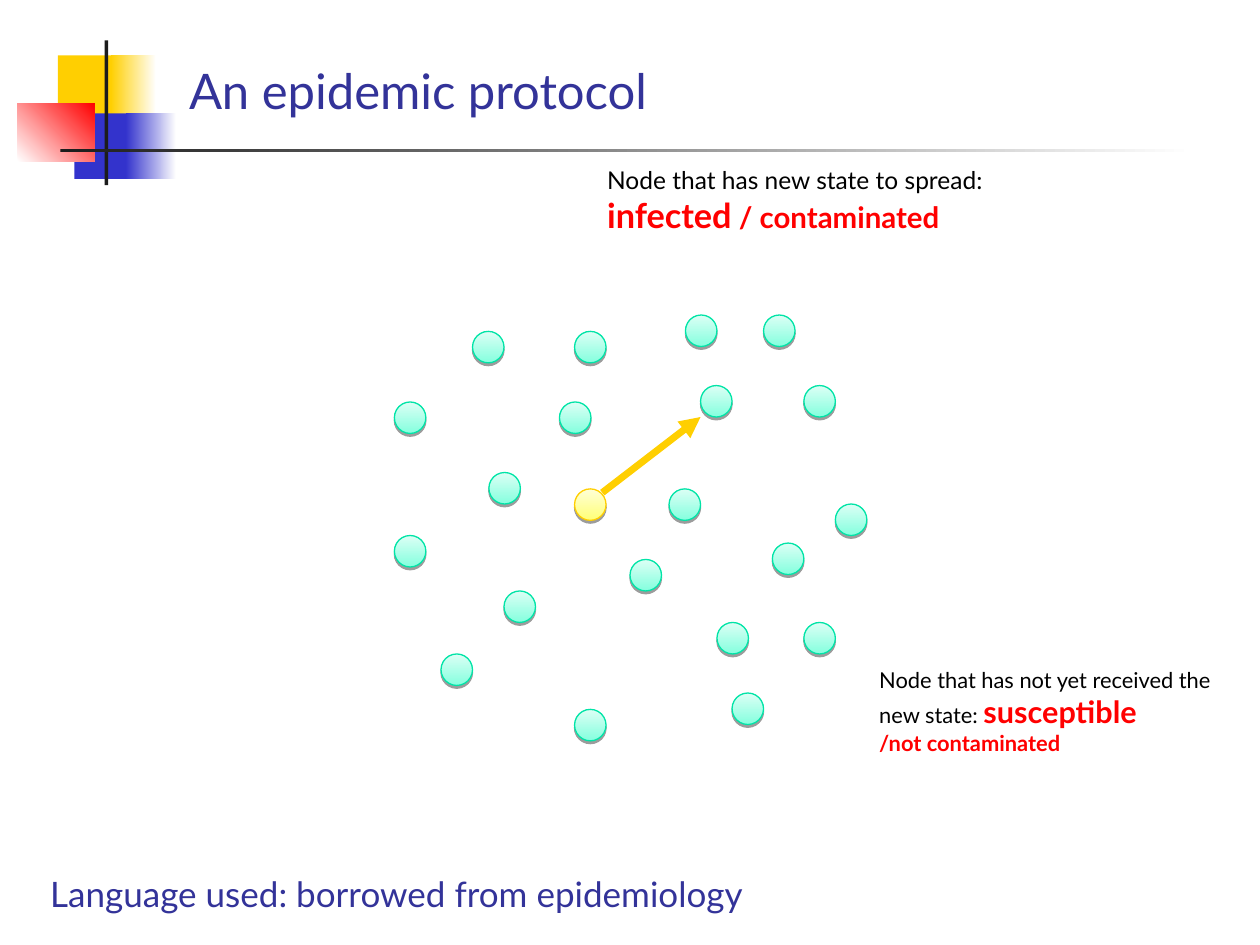
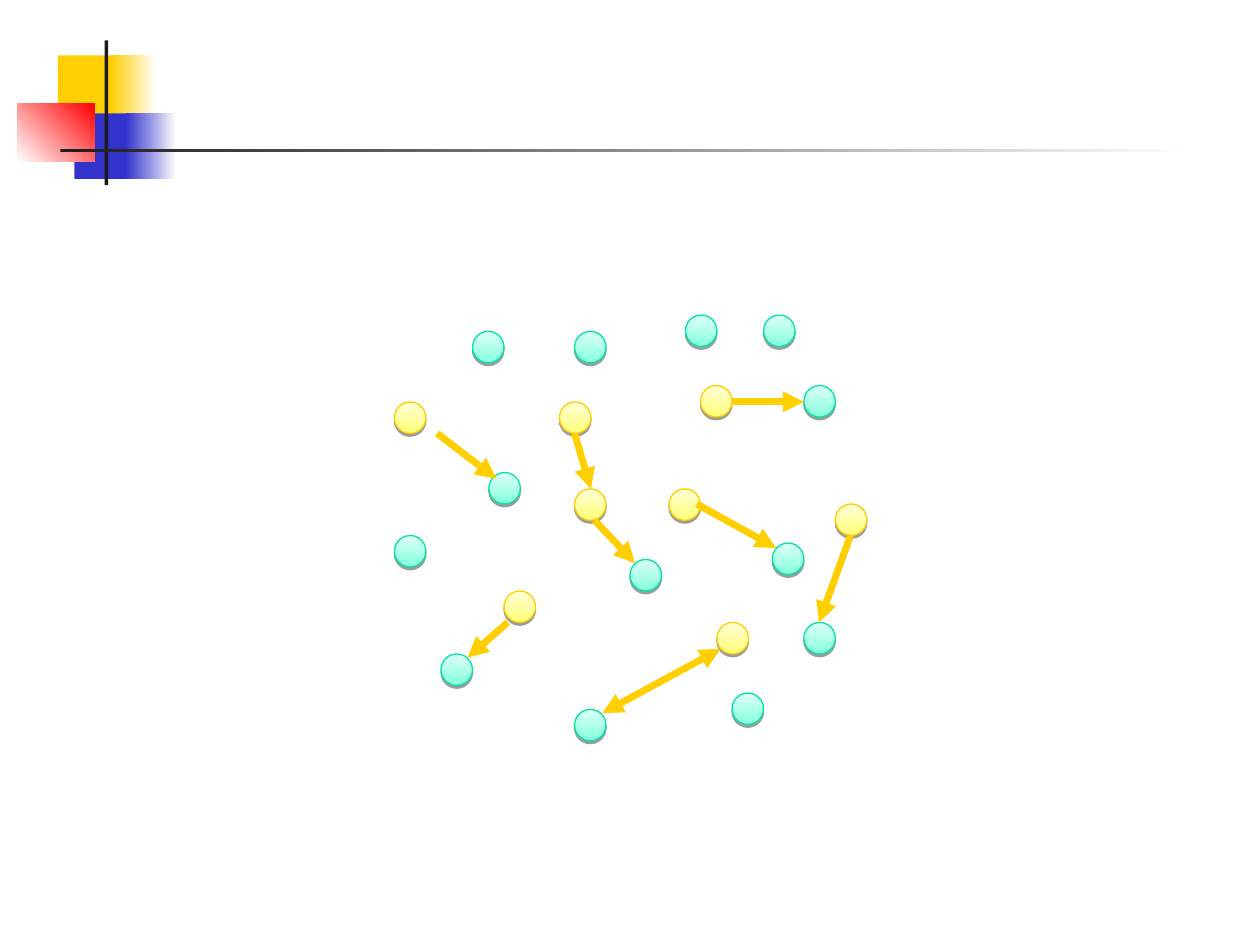
from lxml import etree
from pptx import Presentation
from pptx.dml.color import RGBColor
from pptx.enum.shapes import MSO_CONNECTOR, MSO_SHAPE
from pptx.enum.text import MSO_ANCHOR, MSO_AUTO_SIZE, PP_ALIGN
from pptx.oxml.ns import qn
from pptx.util import Inches, Pt

RECT, OVAL = MSO_SHAPE.RECTANGLE, MSO_SHAPE.OVAL
STRAIGHT = MSO_CONNECTOR.STRAIGHT
TOP, BOTTOM = MSO_ANCHOR.TOP, MSO_ANCHOR.BOTTOM
LEFT, NO_FIT = PP_ALIGN.LEFT, MSO_AUTO_SIZE.NONE
TITLE_ONLY, BLANK = 5, 6


class Theme:
    font = "Lato"
    yellow, blue, red = "FFCF01", "3333CC", "FF0000"
    black, white, charcoal, heading = "000000", "FFFFFF", "1C1C1C", "333399"
    # node state: bottom colour, top colour, outline
    susceptible = ("85FFDE", "DCFFF5", "00E4A7")
    infected = ("FFFF78", "FFFFD7", "FFCE00")
    node_line, arrow_line, shadow_gap = Pt(0.75), Pt(4), Pt(1.6)


def style(size, color, bold=False):
    return {"size": Pt(size), "color": color, "bold": bold}


# Shared band: box, fill colours, gradient angle (counter-clockwise)
BAND = [
    ((0.46, 0.44, 0.48, 0.52), (Theme.yellow,), 0),
    ((0.88, 0.44, 0.36, 0.52), (Theme.yellow, Theme.white), 0),
    ((0.59, 0.9, 0.46, 0.52), (Theme.blue,), 0),
    ((1, 0.9, 0.4, 0.52), (Theme.blue, Theme.white), 0),
    ((0.14, 0.82, 0.61, 0.46), (Theme.white, Theme.red), 45),
    ((0.83, 0.32, 0.03, 1.15), (Theme.charcoal,), 0),
    ((0.48, 1.18, 9, 0.03), (Theme.charcoal, Theme.white), 0),
]

# Left and top of every node in the network
NODE_SIZE = 0.25
NODES = [
    (3.75, 2.63), (3.13, 3.19), (4.56, 2.63), (3.88, 3.75), (5.56, 3.06),
    (4.44, 3.19), (3.13, 4.25), (4, 4.69), (5, 4.44), (5.44, 2.5),
    (6.13, 4.31), (5.31, 3.88), (6.38, 3.06), (4.56, 5.63), (5.69, 4.94),
    (3.5, 5.19), (4.56, 3.88), (6.63, 4), (5.81, 5.5), (6.38, 4.94),
    (6.06, 2.5),
]

# Each text: box, anchor, paragraphs of (words, format) runs
TITLE = ((1.4, 0.07, 8.52, 0.93), BOTTOM,
         [[("An epidemic protocol", style(28, Theme.heading))]])
TEXTS = [
    ((4.72, 1.26, 4.69, 0.67), TOP, [
        [("Node that has new state to spread:", style(14, Theme.black))],
        [("infected", style(19.6, Theme.red, True)),
         (" / contaminated", style(16.8, Theme.red, True))]]),
    ((6.88, 5.24, 2.87, 0.96), TOP, [
        [("Node that has not yet received the new state: ",
          style(12.5, Theme.black)),
         ("susceptible", style(17.5, Theme.red, True))],
        [("/not contaminated", style(12.5, Theme.red, True))]]),
    ((0.3, 6.81, 6.01, 0.5), BOTTOM,
     [[("Language used: borrowed from epidemiology",
        style(20, Theme.heading))]]),
]

# Arrows run from sender to receiver: start, end, arrowed ends
ONE_WAY, TWO_WAY = ("tailEnd",), ("headEnd", "tailEnd")
SLIDES = [
    {"title": TITLE, "texts": TEXTS,
     "infected": {(4.56, 3.88)},
     "arrows": [((4.78, 3.91), (5.56, 3.31), ONE_WAY)]},
    {"title": None, "texts": [],
     "infected": {(3.13, 3.19), (5.56, 3.06), (4.44, 3.19), (4, 4.69),
                  (5.31, 3.88), (5.69, 4.94), (4.56, 3.88), (6.63, 4)},
     "arrows": [
         ((4.56, 3.44), (4.69, 3.88), ONE_WAY),
         ((3.47, 3.44), (3.94, 3.8), ONE_WAY),
         ((5.81, 3.19), (6.38, 3.19), ONE_WAY),
         ((5.53, 4), (6.16, 4.35), ONE_WAY),
         ((6.75, 4.25), (6.5, 4.94), ONE_WAY),
         ((4.03, 4.94), (3.71, 5.22), ONE_WAY),
         ((4.78, 5.66), (5.72, 5.15), TWO_WAY),
         ((4.72, 4.13), (5.04, 4.47), ONE_WAY)]},
]


def rgb(color):
    return RGBColor.from_string(color)


def inches(values):
    return [Inches(v) for v in values]


def add_filled(slide, kind, box, colors, angle):
    """Add a preset shape with a solid fill or a two-colour gradient."""
    sp = slide.shapes.add_shape(kind, *inches(box))
    sp.shadow.inherit = False
    sp.line.fill.background()
    if len(colors) == 1:
        sp.fill.solid()
        sp.fill.fore_color.rgb = rgb(colors[0])
    else:
        sp.fill.gradient()
        sp.fill.gradient_angle = angle
        for stop, color in zip(sp.fill.gradient_stops, colors):
            stop.color.rgb = rgb(color)
    return sp


def add_node(slide, spot, state):
    bottom, top, outline = state
    sp = add_filled(slide, OVAL, (*spot, NODE_SIZE, NODE_SIZE),
                    (bottom, top), 90)
    sp.line.color.rgb = rgb(outline)
    sp.line.width = Theme.node_line
    effects = sp.element.spPr.find(qn("a:effectLst"))
    shadow = etree.SubElement(effects, qn("a:outerShdw"), blurRad="0",
                              dist=str(Theme.shadow_gap), dir="5400000",
                              rotWithShape="0")
    color = etree.SubElement(shadow, qn("a:srgbClr"), val=Theme.black)
    etree.SubElement(color, qn("a:alpha"), val="38000")


def add_arrow(slide, start, end, ends):
    cx = slide.shapes.add_connector(STRAIGHT, *inches(start + end))
    cx.line.color.rgb = rgb(Theme.yellow)
    cx.line.width = Theme.arrow_line
    ln = cx.line._get_or_add_ln()
    for tag in ends:
        etree.SubElement(ln, qn(f"a:{tag}"), type="triangle")
    etree.SubElement(cx.element.spPr, qn("a:effectLst"))


def write(sp, box, anchor, paragraphs):
    """Place a title or text box and fill it with formatted runs."""
    sp.left, sp.top, sp.width, sp.height = inches(box)
    tf = sp.text_frame
    for name, value in {"word_wrap": True, "auto_size": NO_FIT,
                        "vertical_anchor": anchor}.items():
        setattr(tf, name, value)
    for i, runs in enumerate(paragraphs):
        p = tf.add_paragraph() if i else tf.paragraphs[0]
        p.alignment = LEFT
        for words, fmt in runs:
            r = p.add_run()
            r.text = words
            r.font.name = Theme.font
            r.font.color.rgb = rgb(fmt["color"])
            for name in ("size", "bold"):
                setattr(r.font, name, fmt[name])


def move_band_to_master(prs, slide):
    """Draw the band once and hand it to the master, behind everything."""
    tree = prs.slide_master.shapes.element
    for i, (box, colors, angle) in enumerate(BAND):
        sp = add_filled(slide, RECT, box, colors, angle)
        sp.element.nvSpPr.cNvPr.set("id", str(100 + i))
        tree.insert(2 + i, sp.element)


def main():
    prs = Presentation()
    prs.slide_width, prs.slide_height = Inches(10), Inches(7.5)
    for number, content in enumerate(SLIDES):
        layout = TITLE_ONLY if content["title"] else BLANK
        slide = prs.slides.add_slide(prs.slide_layouts[layout])
        if number == 0:
            move_band_to_master(prs, slide)
        # Network
        for spot in NODES:
            sick = spot in content["infected"]
            add_node(slide, spot, Theme.infected if sick else Theme.susceptible)
        for arrow in content["arrows"]:
            add_arrow(slide, *arrow)
        # Title and notes
        if content["title"]:
            write(slide.shapes.title, *content["title"])
        for box, anchor, paragraphs in content["texts"]:
            sp = slide.shapes.add_textbox(*inches(box))
            write(sp, box, anchor, paragraphs)
    prs.save("out.pptx")


if __name__ == "__main__":
    main()
